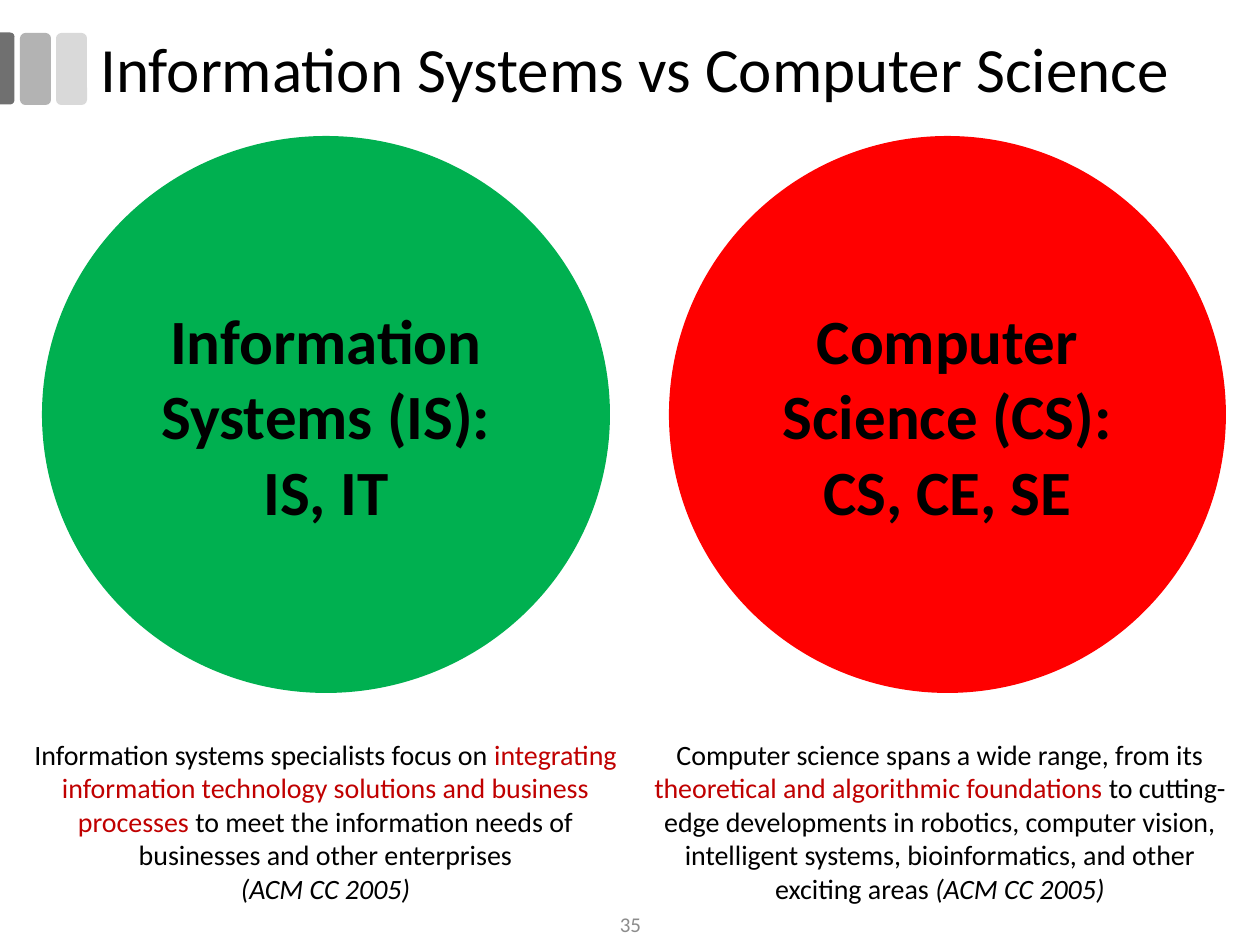
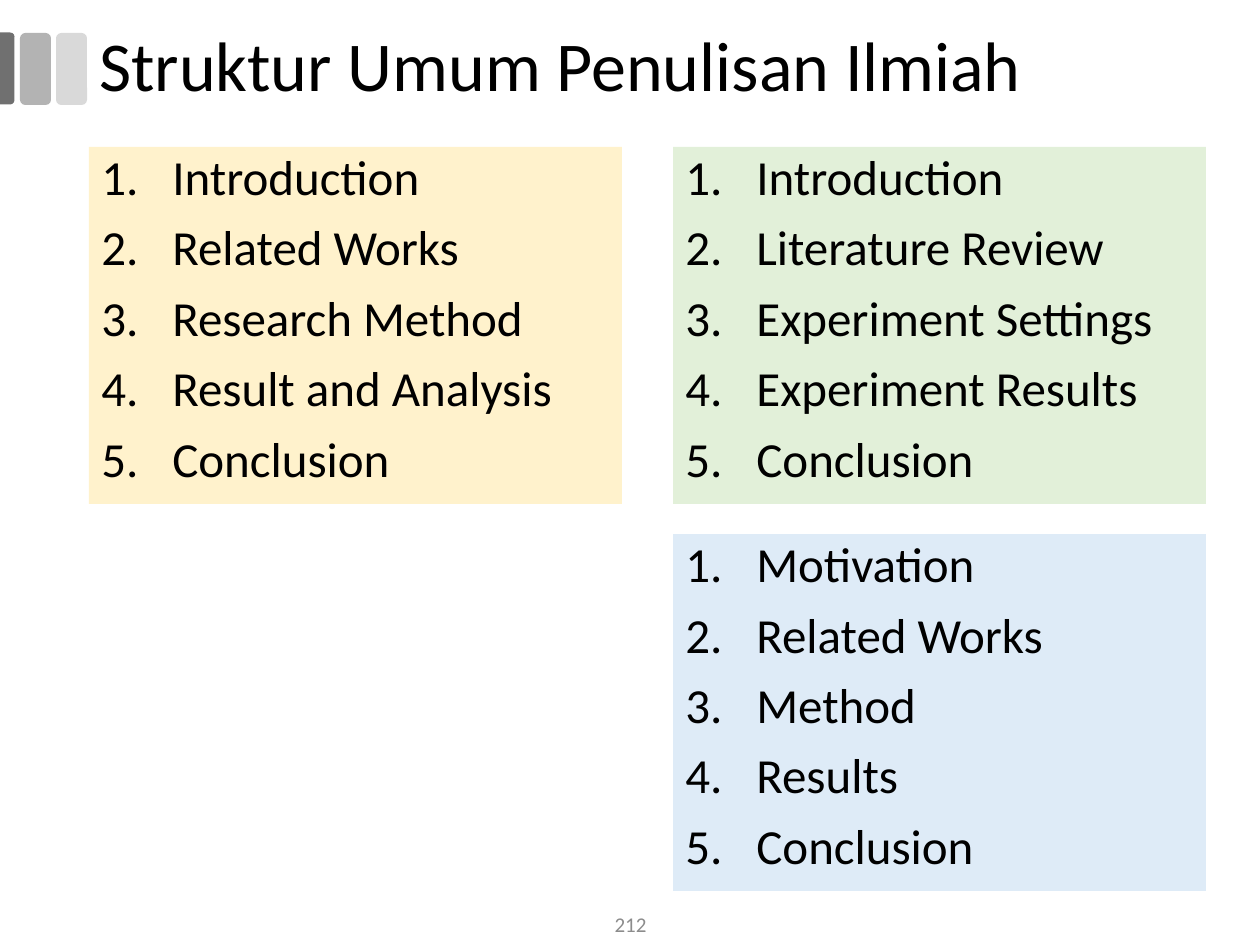
from dataclasses import dataclass
from lxml import etree
from pptx import Presentation
from pptx import util as u
from pptx.dml.color import RGBColor
from pptx.enum import shapes, text
from pptx.oxml.ns import qn


@dataclass(frozen=True)
class Theme:
    font: str = "Calibri"
    ink: str = "000000"
    accent: str = "C00000"
    muted: str = "8C8C8C"
    bars: tuple = ("707070", "B3B3B3", "D9D9D9")
    green: str = "00B050"
    red: str = "FF0000"
    cream: str = "FFF2CC"
    mint: str = "E2F0D9"
    sky: str = "DEEBF7"
    big: int = 36
    item: int = 28
    note: int = 16
    page: int = 12
    tight: float = 0.9


T = Theme()
KIND = shapes.MSO_SHAPE
LEFT, MID = text.PP_ALIGN.LEFT, text.PP_ALIGN.CENTER
TOP, CORE = text.MSO_ANCHOR.TOP, text.MSO_ANCHOR.MIDDLE

# Title: words, size, box; page number
COMPARE = ("Information Systems vs Computer Science", T.big, (88, 28, 1134, 88), "35")
OUTLINE = ("Struktur Umum Penulisan Ilmiah", 40, (87, 21, 1172, 95), "212")

# Circle: fill, box, paragraphs; "\n" breaks a line
FIELDS = [
    (T.green, (42, 136, 568, 557), ["Information", "Systems (IS):", "IS, IT"]),
    (T.red, (669, 136, 557, 557), ["Computer\nScience (CS):", "CS, CE, SE"]),
]
SOURCE = ("(ACM CC 2005)", T.ink, True)
# Note: box, runs of words, colour, italic
NOTES = [
    ((21, 731, 609, 183), [
        ("Information systems specialists focus on ", T.ink, False),
        ("integrating information technology solutions and business processes ",
         T.accent, False),
        ("to meet the information needs of businesses and other enterprises\n",
         T.ink, False),
        SOURCE]),
    ((630, 731, 620, 183), [
        ("Computer science spans a wide range, from its ", T.ink, False),
        ("theoretical and algorithmic foundations ", T.accent, False),
        ("to cutting-edge developments in robotics, computer vision, "
         "intelligent systems, bioinformatics, and other exciting areas ",
         T.ink, False),
        SOURCE]),
]

# Panel: column, row, fill, items
PANELS = [
    (0, 0, T.cream, ["Introduction", "Related Works", "Research Method",
                     "Result and Analysis", "Conclusion"]),
    (1, 0, T.mint, ["Introduction", "Literature Review", "Experiment Settings",
                    "Experiment Results", "Conclusion"]),
    (1, 1, T.sky, ["Motivation", "Related Works", "Method", "Results",
                   "Conclusion"]),
]
GRID = dict(x=89, y=147, wide=533, high=357, gap=51, drop=30)


def px(n):
    return round(n * u.Inches(1) / 126)


def draw(slide, kind, box, fill):
    shape = slide.shapes.add_shape(kind, *map(px, box))
    shape.shadow.inherit = False
    shape.fill.solid()
    shape.fill.fore_color.rgb = RGBColor.from_string(fill)
    shape.line.fill.background()
    return shape


def label(slide, box):
    return slide.shapes.add_textbox(*map(px, box))


def write(shape, paras, size, align=LEFT, anchor=TOP, bold=False, wrap=True,
          tight=None, listed=False):
    """Fill a shape with paragraphs, each a list of (words, colour, italic)."""
    frame = shape.text_frame
    frame.word_wrap, frame.vertical_anchor = wrap, anchor
    for i, runs in enumerate(paras):
        para = frame.paragraphs[0] if i == 0 else frame.add_paragraph()
        para.alignment = align
        if listed:
            number(para)
            para.space_before = u.Pt(10 if i else 0)
        if tight:
            para.line_spacing = tight
        for words, colour, slant in runs:
            for j, line in enumerate(words.split("\n")):
                if j:
                    para.add_line_break()
                if line:
                    run = para.add_run()
                    run.text = line
                    font = run.font
                    font.name, font.size = T.font, u.Pt(size)
                    font.bold, font.italic = bold, slant
                    font.color.rgb = RGBColor.from_string(colour)


def plain(lines, colour=T.ink):
    return [[(line, colour, False)] for line in lines]


def number(para):
    props = para._p.get_or_add_pPr()
    props.set("marL", str(px(71)))
    props.set("indent", str(-px(71)))
    etree.SubElement(props, qn("a:buFont"), typeface="+mj-lt")
    etree.SubElement(props, qn("a:buAutoNum"), type="arabicPeriod")


def start(deck, title, size, box, page):
    """Add a slide with its corner bars, title and page number."""
    slide = deck.slides.add_slide(deck.slide_layouts[6])
    edge = draw(slide, KIND.ROUND_2_SAME_RECTANGLE, (-29, 61, 72, 15), T.bars[0])
    edge.rotation = 90
    edge.adjustments[0] = 0.29
    for i, fill in enumerate(T.bars[1:]):
        draw(slide, KIND.ROUNDED_RECTANGLE, (20 + 36 * i, 33, 31, 72), fill)
    write(label(slide, box), plain([title]), size, anchor=CORE, tight=T.tight)
    write(label(slide, (489, 904, 283, 41)), plain([page], T.muted), T.page,
          MID, CORE)
    return slide


def compare(deck):
    slide = start(deck, *COMPARE)
    for fill, box, lines in FIELDS:
        disc = draw(slide, KIND.OVAL, box, fill)
        write(disc, plain(lines), T.big, MID, CORE, bold=True, wrap=False)
    for box, runs in NOTES:
        write(label(slide, box), [runs], T.note, MID)


def outline(deck):
    slide = start(deck, *OUTLINE)
    wide, high = GRID["wide"], GRID["high"]
    for col, row, fill, items in PANELS:
        box = (GRID["x"] + col * (wide + GRID["gap"]),
               GRID["y"] + row * (high + GRID["drop"]), wide, high)
        panel = draw(slide, KIND.RECTANGLE, box, fill)
        write(panel, plain(items), T.item, tight=T.tight, listed=True)


def main():
    deck = Presentation()
    deck.slide_width, deck.slide_height = px(1260), px(945)
    compare(deck)
    outline(deck)
    deck.save("out.pptx")


if __name__ == "__main__":
    main()
